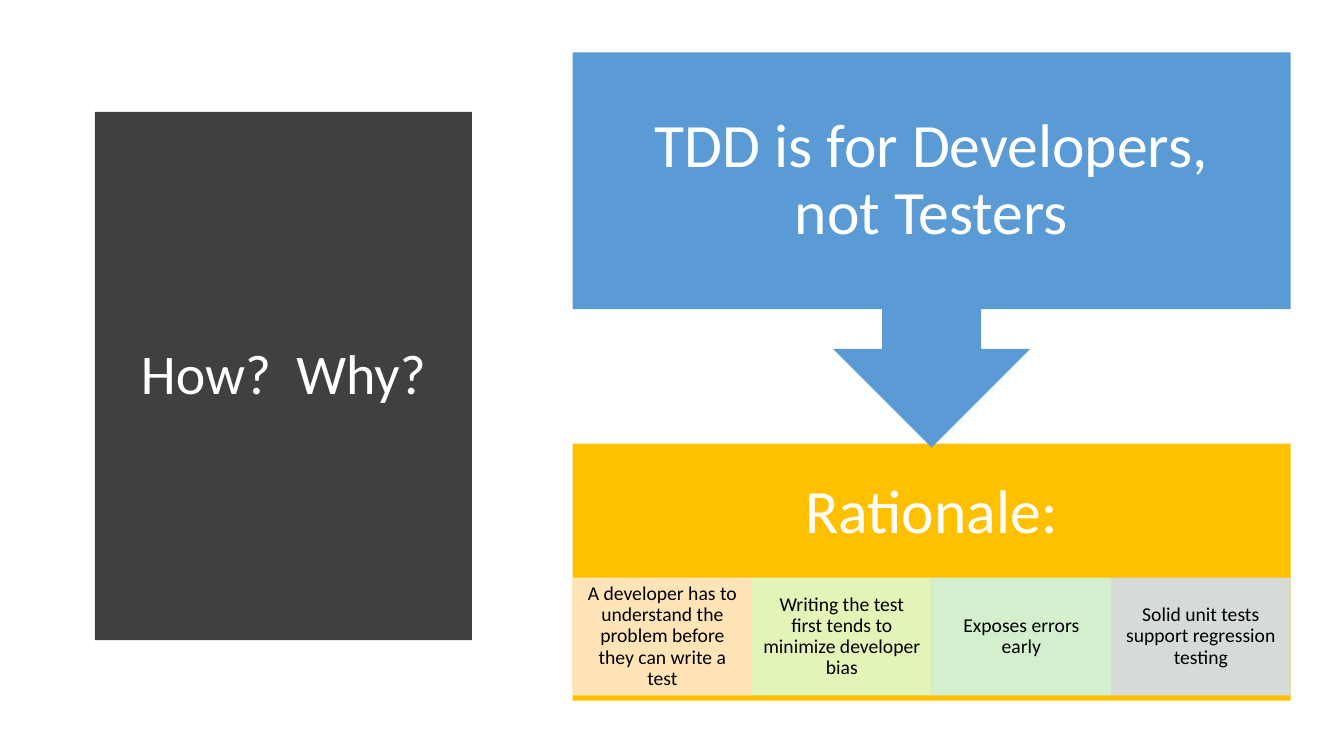
import pptx
import pptx.util
import pptx.dml.color
import pptx.enum.shapes
import pptx.enum.text
import pptx.oxml.ns
import lxml.etree

Inches = pptx.util.Inches
RGBColor = pptx.dml.color.RGBColor
Shape = pptx.enum.shapes.MSO_SHAPE

WHITE = RGBColor(0xFF, 0xFF, 0xFF)
BLACK = RGBColor(0, 0, 0)
GRAY = RGBColor(0x40, 0x40, 0x40)
BLUE = RGBColor(0x5B, 0x9B, 0xD5)
GOLD = RGBColor(0xFF, 0xC0, 0x00)
PEACH = RGBColor(0xFF, 0xE8, 0xCC)
LIME = RGBColor(0xE1, 0xFA, 0xCE)
MINT = RGBColor(0xD0, 0xF5, 0xE5)
PALE = RGBColor(0xD2, 0xDF, 0xF0)


def write(shape, words, size, color, side, top, base):
    """Set centred text with insets in inches at the sides, top and base."""
    frame = shape.text_frame
    frame.word_wrap = True
    frame.auto_size = pptx.enum.text.MSO_AUTO_SIZE.NONE
    frame.vertical_anchor = pptx.enum.text.MSO_ANCHOR.MIDDLE
    frame.margin_left = frame.margin_right = Inches(side)
    frame.margin_top = Inches(top)
    frame.margin_bottom = Inches(base)
    para = frame.paragraphs[0]
    para.alignment = pptx.enum.text.PP_ALIGN.CENTER
    para.line_spacing = 0.9
    run = para.add_run()
    run.text = words
    run.font.name = "Calibri"
    run.font.size = pptx.util.Pt(size)
    run.font.color.rgb = color


def add_block(kind, left, top, width, height, color):
    block = slide.shapes.add_shape(
        kind, Inches(left), Inches(top), Inches(width), Inches(height))
    block.shadow.inherit = False
    block.fill.solid()
    block.fill.fore_color.rgb = color
    block.line.fill.background()
    return block


deck = pptx.Presentation()
deck.slide_width = Inches(13.33)
deck.slide_height = Inches(7.5)
slide = deck.slides.add_slide(deck.slide_layouts[5])

title = slide.shapes.title
title.left, title.top = Inches(0.94), Inches(1.11)
title.width, title.height = Inches(3.74), Inches(5.24)
title.fill.solid()
title.fill.fore_color.rgb = GRAY
write(title, "How?  Why?", 40, WHITE, 0.1, 0.05, 0.05)

LEFT, WIDTH = 5.68, 7.12
PAD = 0.34

# The heading fills the top 1.38 inches of the gold panel.
panel = add_block(Shape.RECTANGLE, LEFT, 4.4, WIDTH, 2.55, GOLD)
write(panel, "Rationale:", 44, WHITE, PAD, PAD, 2.55 - 1.38 + PAD)

reasons = [
    ("A developer has to understand the problem before they can write a test", PEACH),
    ("Writing the test first tends to minimize developer bias", LIME),
    ("Exposes errors early", MINT),
    ("Solid unit tests support regression testing", PALE),
]
step = WIDTH / len(reasons)
for index, (words, color) in enumerate(reasons):
    card = add_block(Shape.RECTANGLE, LEFT + index * step, 5.73, step, 1.17, color)
    tint = card.fill._xPr.find(".//" + pptx.oxml.ns.qn("a:srgbClr"))
    lxml.etree.SubElement(tint, pptx.oxml.ns.qn("a:alpha"), val="90000")
    write(card, words, 14, BLACK, 0.11, 0.02, 0.02)

claim = add_block(Shape.DOWN_ARROW_CALLOUT, LEFT, 0.52, WIDTH, 3.92, BLUE)
write(claim, "TDD is for Developers, not Testers", 44, WHITE, PAD, PAD, PAD)

deck.save("out.pptx")
